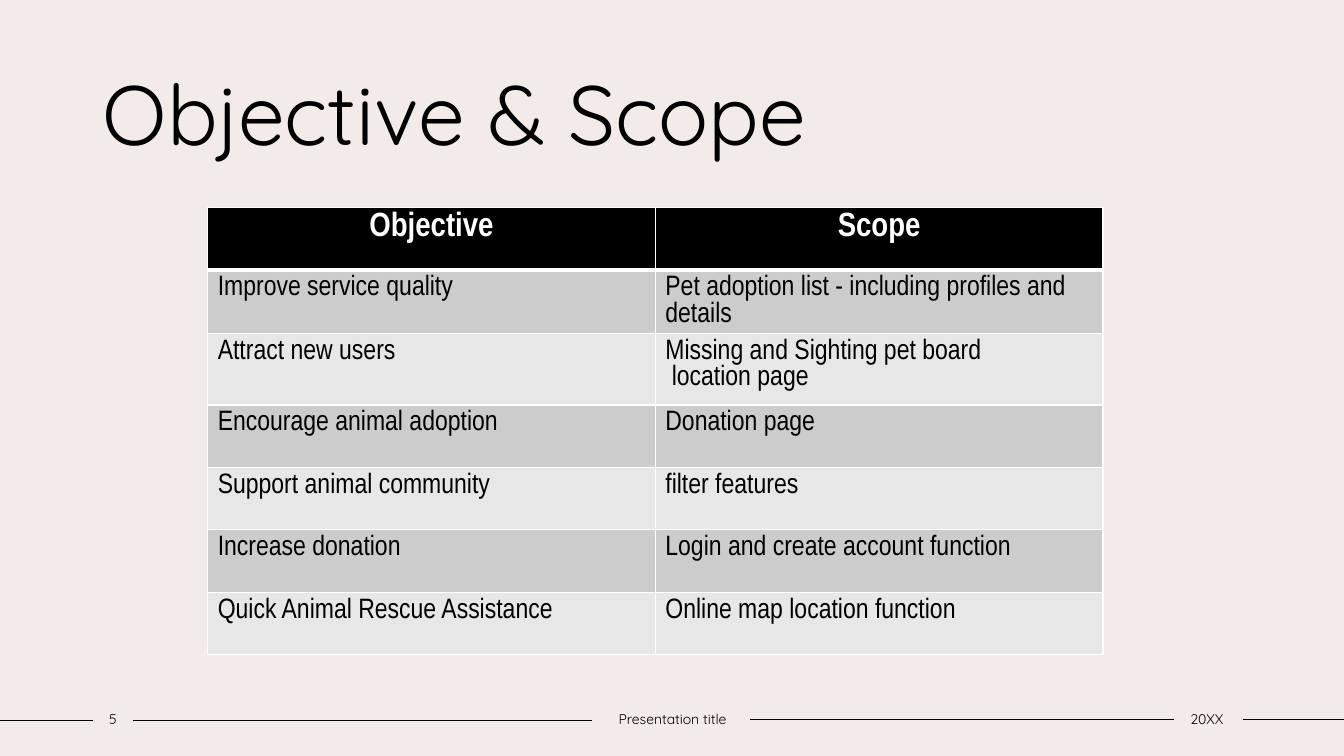
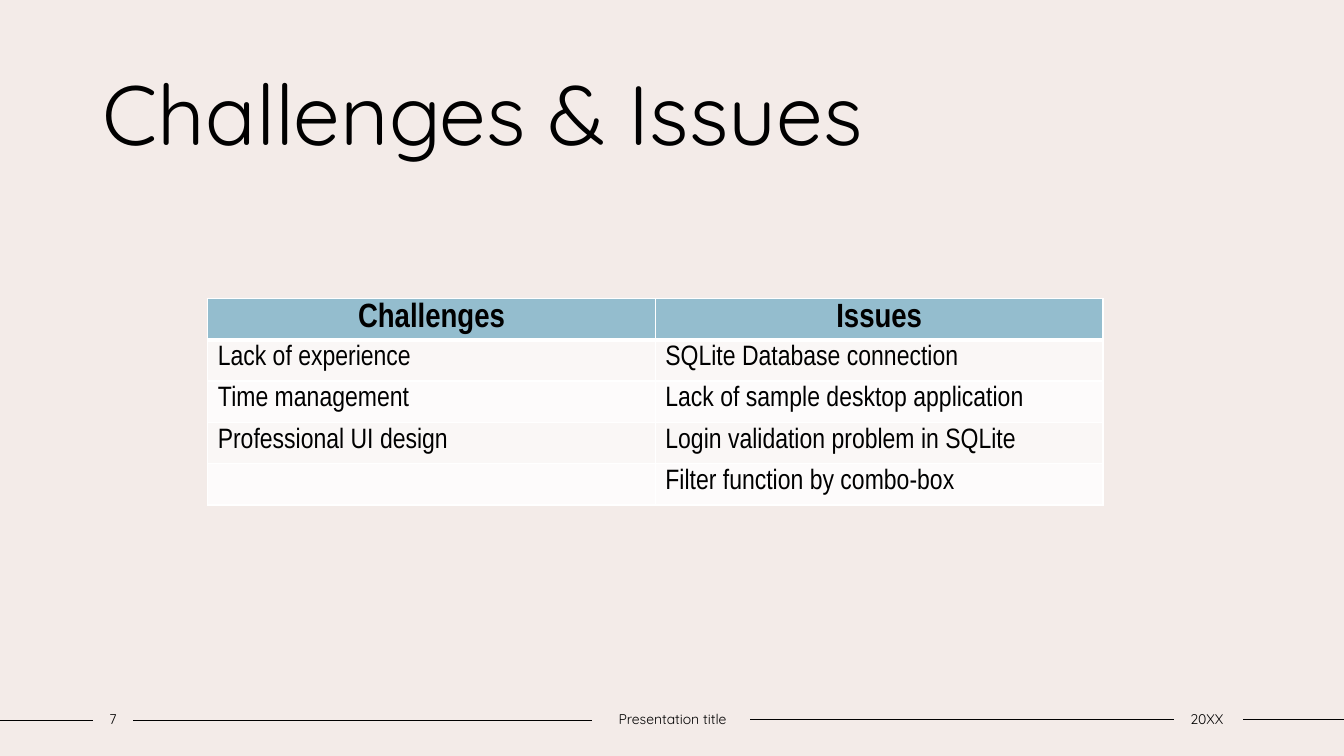
import pptx
import pptx.dml.color
import pptx.enum.shapes
import pptx.enum.text
import pptx.oxml
import pptx.oxml.ns
import pptx.util
from pptx.util import Inches

ALIGN = pptx.enum.text.PP_ALIGN
ANCHOR = pptx.enum.text.MSO_ANCHOR
BLACK, WHITE, BACKGROUND = "000000", "FFFFFF", "F3EBE8"


def color(value):
    return pptx.dml.color.RGBColor.from_string(value)


class Deck:
    """Holds the shared style and the slide being built."""

    title_font = "Quicksand"
    table_font = "Arial Narrow"
    footer_lines = [(0, 0.92, 7.15), (1.32, 5.87, 7.15), (7.44, 11.64, 7.14), (12.33, 13.33, 7.14)]

    def __init__(self):
        self.presentation = pptx.Presentation()
        self.presentation.slide_width = Inches(13.33)
        self.presentation.slide_height = Inches(7.5)
        fill = self.presentation.slide_master.background.fill
        fill.solid()
        fill.fore_color.rgb = color(BACKGROUND)
        self.slide = None

    def format_text(self, text_frame, font, size, ink=BLACK, align=ALIGN.LEFT, bold=False, spacing=None):
        for paragraph in text_frame.paragraphs:
            paragraph.alignment = align
            if spacing:
                paragraph.line_spacing = pptx.util.Pt(spacing)
            for run in paragraph.runs:
                run.font.name = font
                run.font.size = pptx.util.Pt(size)
                run.font.bold = bold
                run.font.color.rgb = color(ink)

    def add_slide(self, title, number):
        self.slide = self.presentation.slides.add_slide(self.presentation.slide_layouts[5])
        self.title(title)
        for left, right, top in self.footer_lines:
            self.line(left, right, top)
        self.footer_text(str(number), 0.92, 0.4)
        self.footer_text("Presentation title", 5.87, 1.6)
        self.footer_text("20XX", 11.62, 0.7)

    def title(self, text):
        shape = self.slide.shapes.title
        shape.left, shape.top = Inches(0.92), Inches(0.56)
        shape.width, shape.height = Inches(11.17), Inches(1.11)
        text_frame = shape.text_frame
        text_frame.text = text
        text_frame.vertical_anchor = ANCHOR.TOP
        text_frame.auto_size = pptx.enum.text.MSO_AUTO_SIZE.NONE
        self.format_text(text_frame, self.title_font, 60)

    def line(self, left, right, top):
        connector = self.slide.shapes.add_connector(
            pptx.enum.shapes.MSO_CONNECTOR.STRAIGHT,
            Inches(left), Inches(top), Inches(right), Inches(top))
        connector.line.color.rgb = color(BLACK)
        connector.line.width = pptx.util.Pt(1)
        properties = connector._element.spPr
        properties.append(properties.makeelement(pptx.oxml.ns.qn("a:effectLst"), {}))

    def footer_text(self, text, left, width):
        shape = self.slide.shapes.add_textbox(Inches(left), Inches(7), Inches(width), Inches(0.27))
        text_frame = shape.text_frame
        text_frame.word_wrap = True
        text_frame.margin_left = text_frame.margin_right = 0
        text_frame.vertical_anchor = ANCHOR.MIDDLE
        text_frame.text = text
        self.format_text(text_frame, self.title_font, 10, align=ALIGN.CENTER)

    def cell_borders(self, cell, top, bottom):
        properties = cell._tc.get_or_add_tcPr()
        sides = [("lnL", 1), ("lnR", 1), ("lnT", top), ("lnB", bottom)]
        for index, (side, width) in enumerate(sides):
            properties.insert(index, pptx.oxml.parse_xml(
                f'<a:{side} {pptx.oxml.ns.nsdecls("a")} w="{pptx.util.Pt(width)}">'
                f'<a:solidFill><a:srgbClr val="{WHITE}"/></a:solidFill></a:{side}>'))

    def table(self, top, heights, rows, header_fill, header_ink, bands):
        frame = self.slide.shapes.add_table(
            len(rows), 2, Inches(2.06), Inches(top), Inches(8.88), Inches(sum(heights)))
        table = frame.table
        for column in table.columns:
            column.width = Inches(4.44)
        for row_index, (height, texts) in enumerate(zip(heights, rows)):
            table.rows[row_index].height = Inches(height)
            header = row_index == 0
            for column_index, text in enumerate(texts):
                cell = table.cell(row_index, column_index)
                cell.text_frame.text = text
                cell.fill.solid()
                cell.fill.fore_color.rgb = color(header_fill if header else bands[(row_index - 1) % 2])
                self.cell_borders(cell, 3 if row_index == 1 else 1, 3 if header else 1)
                if header:
                    self.format_text(cell.text_frame, self.table_font, 24, header_ink, ALIGN.CENTER, True, 22)
                else:
                    self.format_text(cell.text_frame, self.table_font, 20, spacing=19)


def main():
    deck = Deck()

    deck.add_slide("Objective & Scope", 5)
    deck.table(2.06, [0.62, 0.62, 0.71] + [0.62] * 4, [
        ("Objective", "Scope"),
        ("Improve service quality", "Pet adoption list - including profiles and details"),
        ("Attract new users", "Missing and Sighting pet board\n location page"),
        ("Encourage animal adoption", "Donation page"),
        ("Support animal community", "filter features"),
        ("Increase donation", "Login and create account function"),
        ("Quick Animal Rescue Assistance", "Online map location function"),
    ], BLACK, WHITE, ("CCCCCC", "E7E7E7"))

    deck.add_slide("Challenges & Issues", 7)
    deck.table(2.96, [0.41] * 5, [
        ("Challenges", "Issues"),
        ("Lack of experience", "SQLite Database connection"),
        ("Time management", "Lack of sample desktop application"),
        ("Professional UI design", "Login validation problem in SQLite"),
        ("", "Filter function by combo-box"),
    ], "94BDCE", BLACK, ("FAF7F6", "FDFBFB"))

    deck.presentation.save("out.pptx")


if __name__ == "__main__":
    main()
